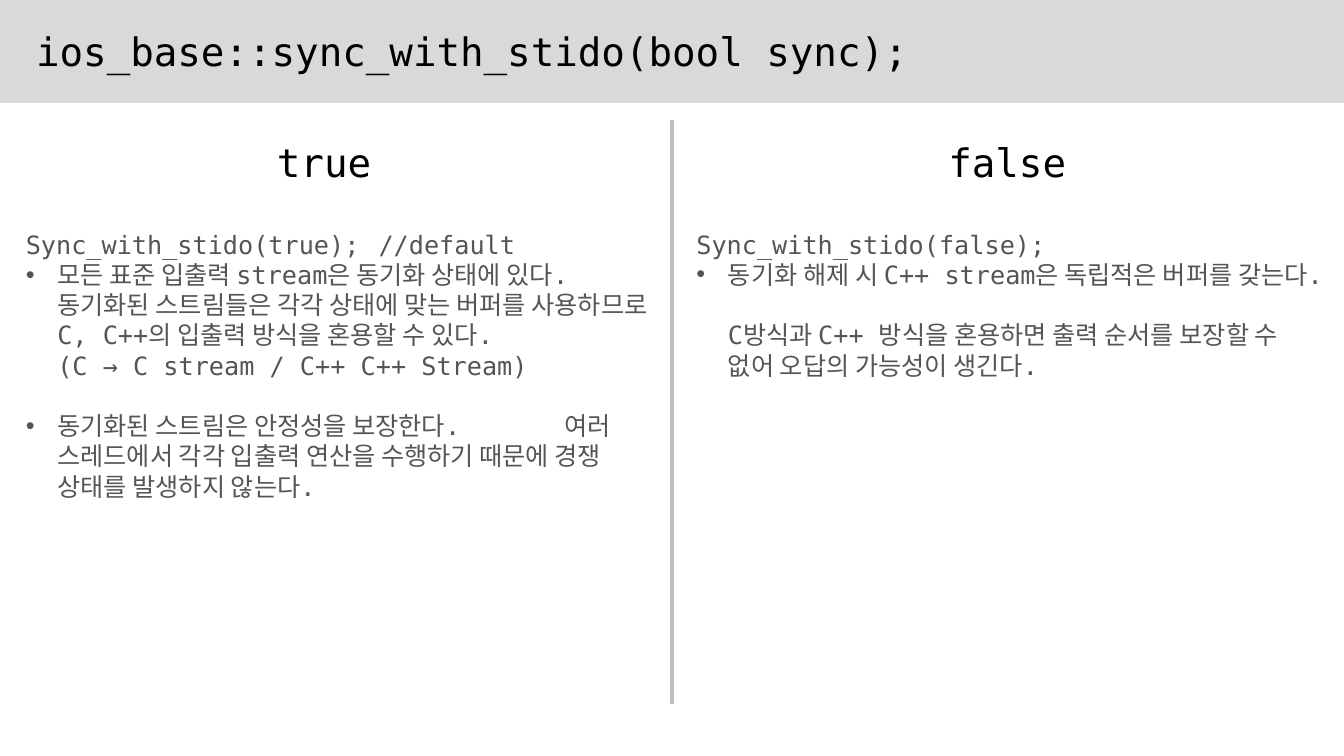
import dataclasses

import pptx
import pptx.dml.color
import pptx.enum.shapes
import pptx.enum.text
import pptx.oxml
import pptx.oxml.ns
import pptx.util

Pt = pptx.util.Pt
ALIGN = pptx.enum.text.PP_ALIGN


@dataclasses.dataclass
class Theme:
    font: str = "DejaVu Sans Mono"
    heading: float = 28
    body: float = 18
    ink: str = "000000"
    muted: str = "555555"
    band: str = "D9D9D9"
    rule: str = "BFBFBF"


def rgb(value):
    return pptx.dml.color.RGBColor.from_string(value)


def add_xml(parent, tag, **attributes):
    element = pptx.oxml.parse_xml(f"<a:{tag} {pptx.oxml.ns.nsdecls('a')}/>")
    for name, value in attributes.items():
        element.set(name, str(value))
    parent.append(element)
    return element


class Deck:
    def __init__(self, theme, width, height):
        self.theme = theme
        self.prs = pptx.Presentation()
        self.prs.slide_width, self.prs.slide_height = Pt(width), Pt(height)
        self.s = self.prs.slides.add_slide(self.prs.slide_layouts[6])

    def band(self, left, top, width, height):
        sp = self.s.shapes.add_shape(
            pptx.enum.shapes.MSO_SHAPE.RECTANGLE,
            Pt(left), Pt(top), Pt(width), Pt(height))
        sp.shadow.inherit = False
        sp.fill.solid()
        sp.fill.fore_color.rgb = rgb(self.theme.band)
        sp.line.color.rgb = rgb(self.theme.band)
        sp.line.width = Pt(1)

    def divider(self, x, top, bottom):
        line = self.s.shapes.add_connector(
            pptx.enum.shapes.MSO_CONNECTOR.STRAIGHT,
            Pt(x), Pt(top), Pt(x), Pt(bottom))
        line.line.color.rgb = rgb(self.theme.rule)
        line.line.width = Pt(3)
        add_xml(line._element.spPr, "effectLst")

    def frame(self, left, top, width, height):
        sp = self.s.shapes.add_textbox(Pt(left), Pt(top), Pt(width), Pt(height))
        tf = sp.text_frame
        tf.word_wrap = True
        tf.auto_size = pptx.enum.text.MSO_AUTO_SIZE.SHAPE_TO_FIT_TEXT
        return tf

    def run(self, p, text, size, color):
        r = p.add_run()
        r.text = text
        r.font.name = self.theme.font
        r.font.size = Pt(size)
        r.font.color.rgb = rgb(color)

    def heading(self, text, left, top, width, align=ALIGN.LEFT):
        p = self.frame(left, top, width, 41).paragraphs[0]
        p.alignment = align
        self.run(p, text, self.theme.heading, self.theme.ink)

    def column(self, call, bullets, left, top, width, height):
        tf = self.frame(left, top, width, height)
        self.run(tf.paragraphs[0], call, self.theme.body, self.theme.muted)
        for index, lines in enumerate(bullets):
            p = tf.add_paragraph()
            self.bullet(p, any("\t" in line for line in lines))
            if index:
                p.space_before = Pt(21.7)
            for number, line in enumerate(lines):
                if number:
                    p.add_line_break()
                self.run(p, line, self.theme.body, self.theme.muted)

    def bullet(self, p, tabbed):
        pPr = p._p.get_or_add_pPr()
        pPr.set("marL", str(Pt(22.5)))
        pPr.set("indent", str(Pt(-22.5)))
        add_xml(pPr, "buFont", typeface="Arial")
        add_xml(pPr, "buChar", char="•")
        if tabbed:
            tabs = add_xml(pPr, "tabLst")
            add_xml(tabs, "tab", pos=Pt(385), algn="l")
        p.font.size = Pt(self.theme.body)


def main():
    deck = Deck(Theme(), 960, 540)
    deck.band(0, 0, 960, 73)
    deck.heading("ios_base::sync_with_stido(bool sync);", 18.7, 16, 763)
    deck.divider(480, 86, 503)
    columns = [
        ("true", "Sync_with_stido(true);\t//default", 204, [
            ["모든 표준 입출력 stream은 동기화 상태에 있다.",
             "동기화된 스트림들은 각각 상태에 맞는 버퍼를 사용하므로 "
             "C, C++의 입출력 방식을 혼용할 수 있다.",
             "(C → C stream / C++ C++ Stream)"],
            ["동기화된 스트림은 안정성을 보장한다.\t여러 스레드에서 각각 "
             "입출력 연산을 수행하기 때문에 경쟁 상태를 발생하지 않는다."],
        ]),
        ("false", "Sync_with_stido(false);", 117, [
            ["동기화 해제 시 C++ stream은 독립적은 버퍼를 갖는다.",
             "C방식과 C++ 방식을 혼용하면 출력 순서를 보장할 수 없어 "
             "오답의 가능성이 생긴다."],
        ]),
    ]
    for index, (title, call, height, bullets) in enumerate(columns):
        deck.column(call, bullets, 11.3 + index * 479, 160, 459, height)
        deck.heading(title, 18.7 + index * 488, 95, 425.5, ALIGN.CENTER)
    deck.prs.save("out.pptx")


if __name__ == "__main__":
    main()
